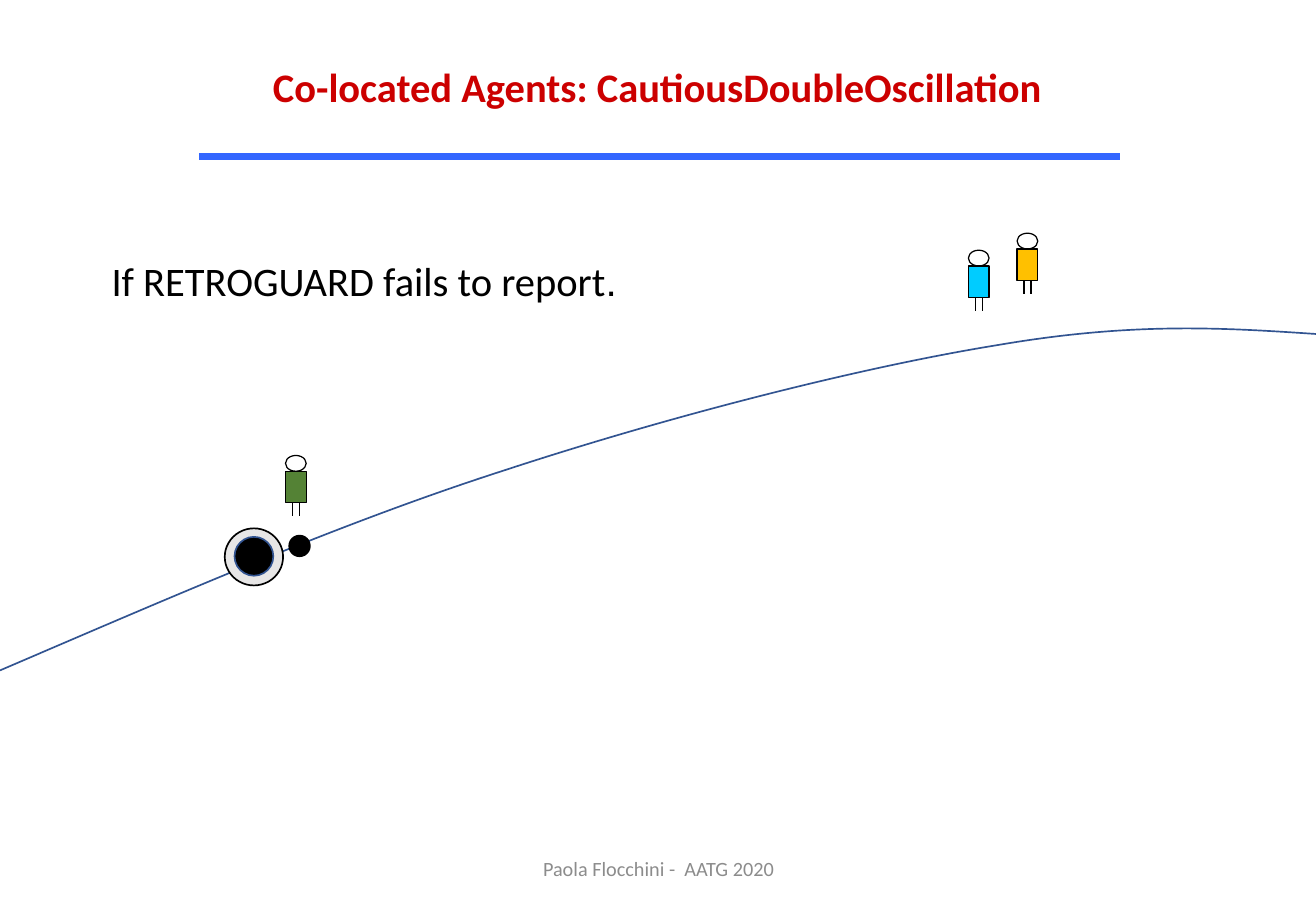
from lxml import etree
from pptx import Presentation
from pptx.dml.color import RGBColor
from pptx.enum.shapes import MSO_CONNECTOR, MSO_SHAPE
from pptx.enum.text import MSO_ANCHOR, PP_ALIGN
from pptx.oxml.ns import qn
from pptx.util import Inches, Pt

OVAL, RECTANGLE = MSO_SHAPE.OVAL, MSO_SHAPE.RECTANGLE
STRAIGHT = MSO_CONNECTOR.STRAIGHT
LEFT, CENTER = PP_ALIGN.LEFT, PP_ALIGN.CENTER
TOP, MIDDLE = MSO_ANCHOR.TOP, MSO_ANCHOR.MIDDLE
BLACK, RING_BLUE = "000000", "325491"

# Content: places and sizes are percentages of the slide's width and height
TITLE = [("Co-located Agents: CautiousDoubleOscillation", "Calibri")]
STATEMENT = [("If RETROGUARD fails to report", "Calibri"), (".", "Arial")]
FOOTER = [("Paola Flocchini -  AATG 2020", "Calibri")]

TITLE_BOX = (19.76, 6.13, 60.39, 6.67)
STATEMENT_BOX = (7.57, 27.47, 41.18, 6.67)
FOOTER_BOX = (33.15, 92.67, 33.8, 5.33)
TITLE_RULE = (15.14, 17.2, 85.13, 17.2)

AGENTS = [(77.29, 25.6, "FFC000"), (73.59, 27.47, "00CCFF"), (21.7, 50, "548235")]
AGENT_WIDTH, HEAD_HEIGHT, BODY_HEIGHT, LEG_HEIGHT = 1.57, 1.73, 3.47, 1.47

# Start of the ring, then three control points for each curve
RING_START = (0, 73.6)
RING_CURVES = [
    (12.93, 65.6), (25.76, 57.47), (38.41, 51.6),
    (51.06, 45.6), (65.56, 40.27), (75.9, 37.87),
    (86.15, 35.33), (93.07, 36), (100, 36.67),
]
NODE = (21.98, 58.8, 1.57, 2.27)
BLACK_HOLE = [
    ((17.08, 58, 4.43, 6.27), "E7E6E6", BLACK),
    ((17.82, 58.93, 2.95, 4.27), BLACK, RING_BLUE),
]

presentation = Presentation()
presentation.slide_width = Inches(10.83)
presentation.slide_height = Inches(7.5)
slide = presentation.slides.add_slide(presentation.slide_layouts[5])


def place(*shares):
    """Turn alternating width and height shares into lengths."""
    sides = (presentation.slide_width, presentation.slide_height)
    return [round(share * sides[i % 2] / 100) for i, share in enumerate(shares)]


def color(value):
    return RGBColor.from_string(value)


def set_line(shape, line_color, width):
    shape.line.color.rgb = color(line_color)
    shape.line.width = Pt(width)


def add_outline(shapes, kind, box, fill, line_color, width):
    shape = shapes.add_shape(kind, *place(*box))
    shape.shadow.inherit = False
    if fill:
        shape.fill.solid()
        shape.fill.fore_color.rgb = color(fill)
    else:
        shape.fill.background()
    set_line(shape, line_color, width)


def add_line(shapes, ends, line_color, width):
    connector = shapes.add_connector(STRAIGHT, *place(*ends))
    set_line(connector, line_color, width)
    etree.SubElement(connector._element.spPr, qn("a:effectLst"))


def write(shape, runs, size, text_color, alignment, anchor, bold=False, wrap=True):
    frame = shape.text_frame
    frame.word_wrap = wrap
    frame.vertical_anchor = anchor
    paragraph = frame.paragraphs[0]
    paragraph.alignment = alignment
    for text, font_name in runs:
        run = paragraph.add_run()
        run.text = text
        run.font.name = font_name
        run.font.size = Pt(size)
        run.font.bold = bold
        run.font.color.rgb = color(text_color)


def add_agent(left, top, body_color):
    shapes = slide.shapes.add_group_shape().shapes
    body_top = top + HEAD_HEIGHT
    legs_top = body_top + BODY_HEIGHT
    add_outline(shapes, OVAL, (left, top, AGENT_WIDTH, HEAD_HEIGHT), None, BLACK, 0.75)
    add_outline(shapes, RECTANGLE, (left, body_top, AGENT_WIDTH, BODY_HEIGHT),
                body_color, BLACK, 0.75)
    for third in (1, 2):
        x = left + AGENT_WIDTH * third / 3
        add_line(shapes, (x, legs_top, x, legs_top + LEG_HEIGHT), BLACK, 0.75)


def add_ring():
    builder = slide.shapes.build_freeform(*place(*RING_START))
    builder.add_line_segments([place(*point) for point in RING_CURVES], close=False)
    ring = builder.convert_to_shape()
    ring.shadow.inherit = False
    ring.fill.background()
    set_line(ring, RING_BLUE, 1)
    # Join every three segments into one cubic curve
    outline = next(ring._element.iter(qn("a:path")))
    segments = outline.findall(qn("a:lnTo"))
    for first in range(0, len(segments), 3):
        curve = etree.SubElement(outline, qn("a:cubicBezTo"))
        for segment in segments[first:first + 3]:
            curve.append(segment[0])
            outline.remove(segment)


# Title, rule and texts
title = slide.shapes.title
title.left, title.top, title.width, title.height = place(*TITLE_BOX)
write(title, TITLE, 24, "CC0000", CENTER, TOP, bold=True)
add_line(slide.shapes, TITLE_RULE, "3366FF", 4)
statement = slide.shapes.add_textbox(*place(*STATEMENT_BOX))
write(statement, STATEMENT, 24, BLACK, LEFT, TOP, wrap=False)
footer = slide.shapes.add_textbox(*place(*FOOTER_BOX))
write(footer, FOOTER, 12, "8C8C8C", CENTER, MIDDLE)

# Ring with its node and black hole
add_ring()
add_outline(slide.shapes, OVAL, NODE, BLACK, BLACK, 1)
hole = slide.shapes.add_group_shape()
for box, fill, line_color in BLACK_HOLE:
    add_outline(hole.shapes, OVAL, box, fill, line_color, 1)

# Agents
for agent in AGENTS:
    add_agent(*agent)

presentation.save("out.pptx")
